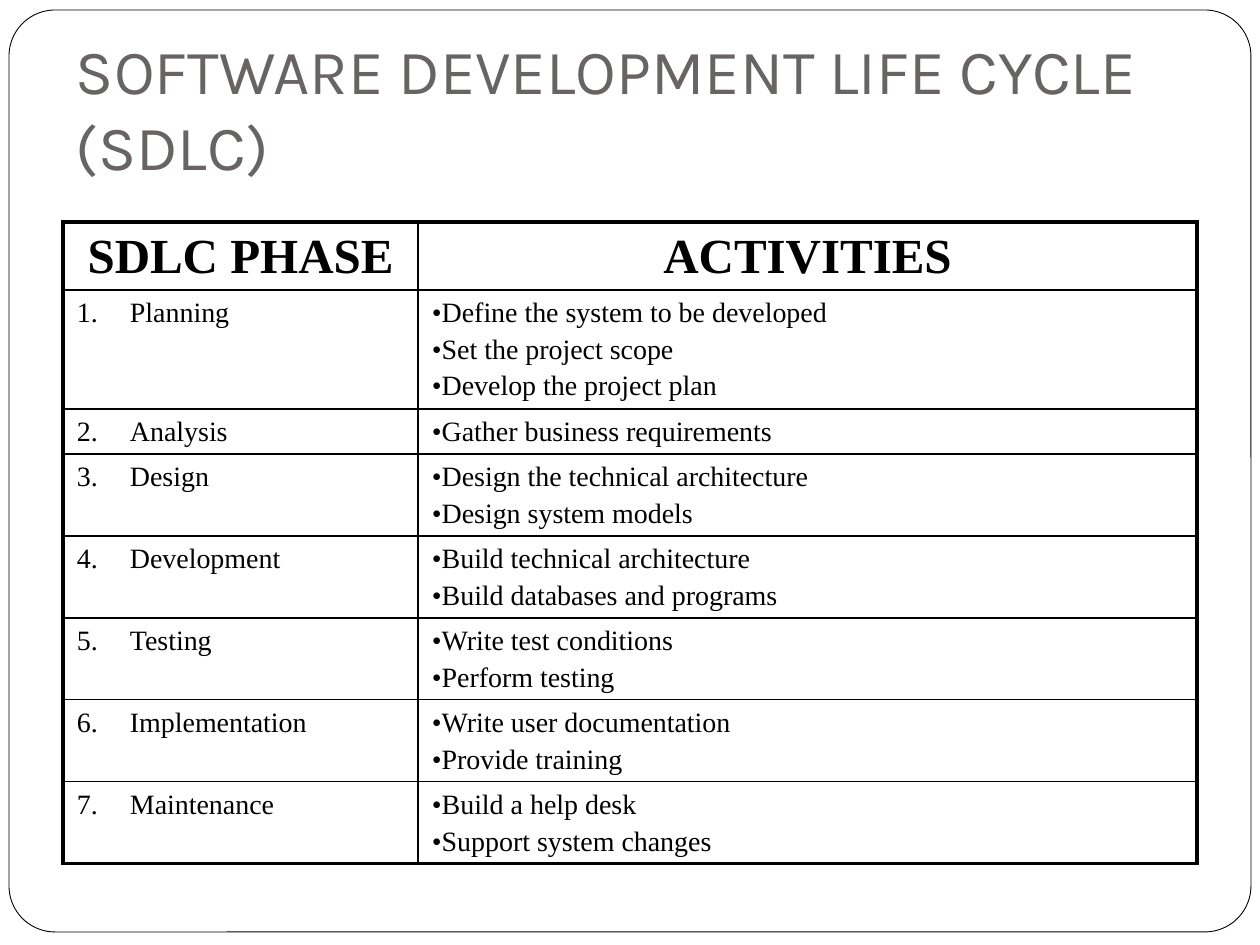
from lxml import etree
from pptx import Presentation
from pptx.dml.color import RGBColor
from pptx.enum.shapes import MSO_SHAPE
from pptx.enum.text import MSO_ANCHOR, MSO_AUTO_SIZE, PP_ALIGN
from pptx.oxml.ns import qn
from pptx.util import Pt

PX = 914400 // 126
BLACK = RGBColor(0x00, 0x00, 0x00)
WHITE = RGBColor(0xFF, 0xFF, 0xFF)
GRAY = RGBColor(0x69, 0x64, 0x64)
ROUNDED = MSO_SHAPE.ROUNDED_RECTANGLE
BOTTOM, TOP = MSO_ANCHOR.BOTTOM, MSO_ANCHOR.TOP
NO_AUTOFIT = MSO_AUTO_SIZE.NONE
LEFT, CENTER = PP_ALIGN.LEFT, PP_ALIGN.CENTER
THIN, THICK = Pt(1), Pt(2.25)

HEADERS = ["SDLC PHASE", "ACTIVITIES"]
PHASES = [
    ("Planning", ["Define the system to be developed", "Set the project scope",
                  "Develop the project plan"]),
    ("Analysis", ["Gather business requirements"]),
    ("Design", ["Design the technical architecture", "Design system models"]),
    ("Development", ["Build technical architecture", "Build databases and programs"]),
    ("Testing", ["Write test conditions", "Perform testing"]),
    ("Implementation", ["Write user documentation", "Provide training"]),
    ("Maintenance", ["Build a help desk", "Support system changes"]),
]
COLUMN_WIDTHS = [355, 779]
HEADER_HEIGHT, LINE_HEIGHT, ROW_PADDING = 68, 37, 8


def write(frame, lines, size=16, font="Times New Roman", color=BLACK, bold=False,
          align=LEFT, bullet=None, number=None, indent=0):
    """Write one paragraph per line, with an optional bullet or start number."""
    for index, line in enumerate(lines):
        paragraph = frame.paragraphs[0] if index == 0 else frame.add_paragraph()
        paragraph.alignment = align
        if index:
            paragraph.space_before = Pt(3)
        properties = paragraph._p.get_or_add_pPr()
        properties.set("marL", str(indent * PX))
        properties.set("indent", str(-indent * PX))
        if bullet:
            etree.SubElement(properties, qn("a:buFont"), typeface=font)
            etree.SubElement(properties, qn("a:buChar"), char=bullet)
        elif number:
            etree.SubElement(properties, qn("a:buFont"), typeface=font)
            etree.SubElement(properties, qn("a:buAutoNum"), type="arabicPeriod",
                             startAt=str(number))
        run = paragraph.add_run()
        run.text = line
        run.font.size = Pt(size)
        run.font.name = font
        run.font.bold = bold
        run.font.color.rgb = color


def add_border(cell, side, width):
    line = etree.SubElement(cell._tc.get_or_add_tcPr(), qn(f"a:ln{side}"), w=str(width))
    fill = etree.SubElement(line, qn("a:solidFill"))
    etree.SubElement(fill, qn("a:srgbClr"), val=str(BLACK))


presentation = Presentation()
presentation.slide_width = 1260 * PX
presentation.slide_height = 945 * PX
slide = presentation.slides.add_slide(presentation.slide_layouts[5])

# Title
title = slide.shapes.title
title.left, title.top, title.width, title.height = 63 * PX, 38 * PX, 1134 * PX, 157 * PX
title_frame = title.text_frame
title_frame.word_wrap = True
title_frame.auto_size = NO_AUTOFIT
title_frame.vertical_anchor = BOTTOM
title_frame.margin_left = title_frame.margin_right = 13 * PX
title_frame.margin_top, title_frame.margin_bottom = 6 * PX, 12 * PX
write(title_frame, ["SOFTWARE DEVELOPMENT LIFE CYCLE (SDLC)"],
      size=36, font="Karla", color=GRAY)

# Rounded slide frame, behind the title
border = slide.shapes.add_shape(ROUNDED, 9 * PX, 10 * PX, 1242 * PX, 922 * PX)
border.adjustments[0] = 0.05
border.shadow.inherit = False
border.fill.solid()
border.fill.fore_color.rgb = WHITE
border.line.color.rgb = BLACK
border.line.width = Pt(0.5)
title.element.addprevious(border.element)

# Table grid: each row is as tall as its list of activities
row_heights = [HEADER_HEIGHT] + [
    ROW_PADDING + LINE_HEIGHT * len(activities) for _, activities in PHASES]
table = slide.shapes.add_table(
    len(row_heights), len(COLUMN_WIDTHS), 63 * PX, 222 * PX,
    sum(COLUMN_WIDTHS) * PX, sum(row_heights) * PX).table
table.first_row = False
table.horz_banding = False
for column, width in zip(table.columns, COLUMN_WIDTHS):
    column.width = width * PX
for row, height in zip(table.rows, row_heights):
    row.height = height * PX

# Cell format: thick outer border, thin inner lines
last_row, last_column = len(row_heights) - 1, len(COLUMN_WIDTHS) - 1
for row_index, row in enumerate(table.rows):
    for column_index, cell in enumerate(row.cells):
        add_border(cell, "L", THICK if column_index == 0 else THIN)
        add_border(cell, "R", THICK if column_index == last_column else THIN)
        add_border(cell, "T", THICK if row_index == 0 else THIN)
        add_border(cell, "B", THICK if row_index == last_row else THIN)
        cell.fill.background()
        cell.vertical_anchor = TOP
        cell.margin_left = cell.margin_right = 14 * PX
        cell.margin_top, cell.margin_bottom = 8 * PX, 4 * PX

# Table text
for column_index, header in enumerate(HEADERS):
    write(table.cell(0, column_index).text_frame, [header], size=28, bold=True, align=CENTER)
for number, (phase, activities) in enumerate(PHASES, start=1):
    write(table.cell(number, 0).text_frame, [phase], number=number, indent=53)
    write(table.cell(number, 1).text_frame, activities, bullet="•")

presentation.save("out.pptx")
